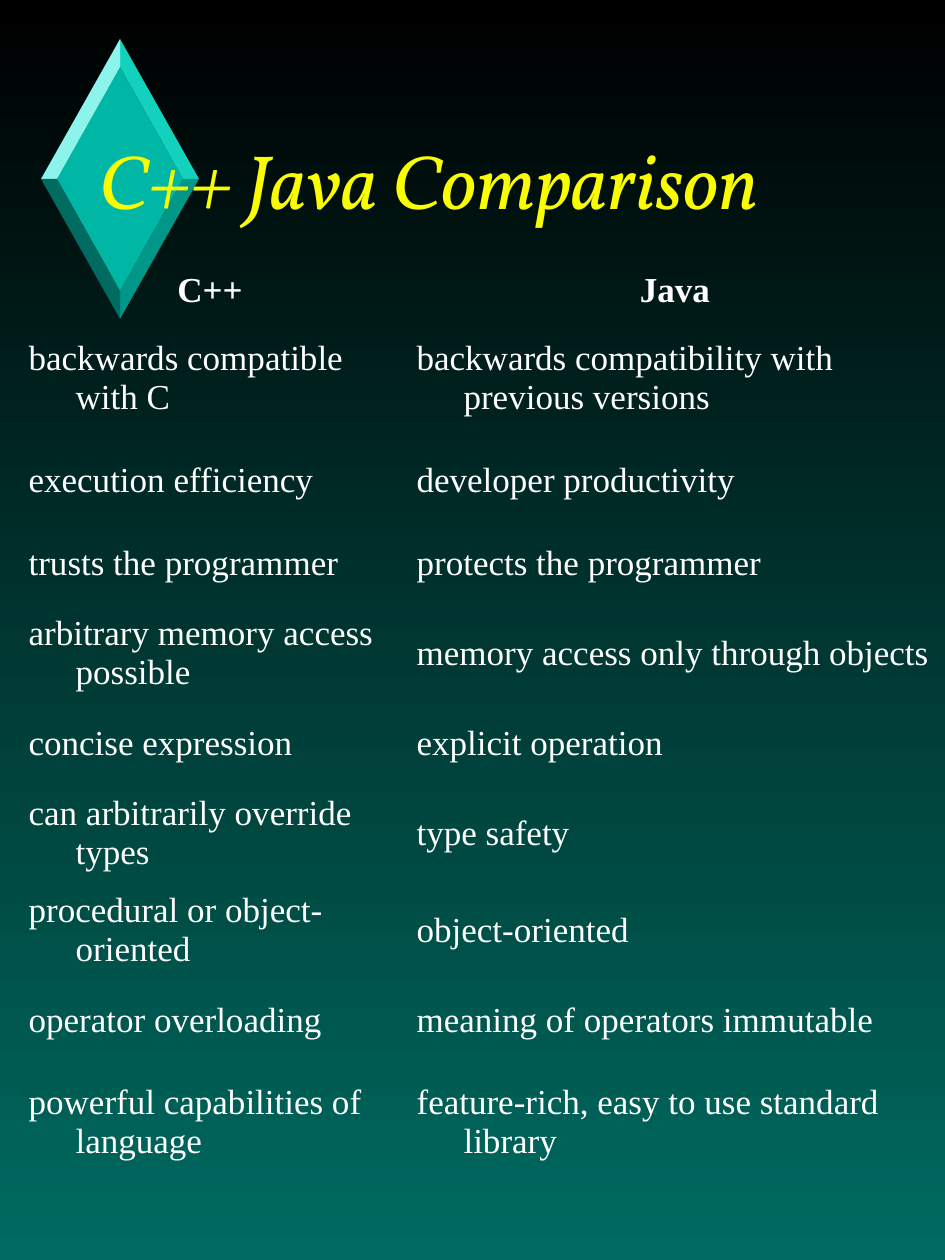
"""Build a portrait slide that compares C++ with Java in a two-column table."""
from pptx import Presentation
from pptx.dml.color import RGBColor
from pptx.enum.text import MSO_ANCHOR as Anchor, PP_ALIGN as Align
from pptx.util import Inches, Pt

PX = Inches(1) / 126
BLACK = RGBColor(0x00, 0x00, 0x00)
DEEP_TEAL = RGBColor(0x00, 0x6B, 0x61)
TEAL = RGBColor(0x00, 0xB7, 0xA5)
BRIGHT_TEAL = RGBColor(0x14, 0xD1, 0xBE)
PALE_TEAL = RGBColor(0x8C, 0xF4, 0xEA)
DARK_TEAL = RGBColor(0x00, 0x96, 0x88)
YELLOW = RGBColor(0xFA, 0xFD, 0x00)
WHITE = RGBColor(0xFF, 0xFF, 0xFF)
NO_STYLE = "{2D5ABB26-0587-4C30-8999-92F81FD0307C}"


def px(length):
    return round(length * PX)


def write_text(frame, text, font, size, color, bold=False, italic=False, align=Align.LEFT, hanging=0):
    frame.word_wrap = True
    paragraph = frame.paragraphs[0]
    paragraph.alignment = align
    properties = paragraph._p.get_or_add_pPr()
    properties.set("marL", str(px(hanging)))
    properties.set("indent", str(-px(hanging)))
    run = paragraph.add_run()
    run.text = text
    run.font.name = font
    run.font.size = Pt(size)
    run.font.color.rgb = color
    run.font.bold = bold
    run.font.italic = italic


presentation = Presentation()
presentation.slide_width = px(945)
presentation.slide_height = px(1260)
slide = presentation.slides.add_slide(presentation.slide_layouts[6])

background = slide.background.fill
background.gradient()
background.gradient_angle = 270
for stop, color, position in zip(background.gradient_stops, (BLACK, DEEP_TEAL), (0, 1)):
    stop.color.rgb = color
    stop.position = position

outer_top, outer_right, outer_bottom, outer_left = (120, 39), (199, 179), (120, 319), (41, 179)
inner_top, inner_right, inner_bottom, inner_left = (120, 67), (183, 179), (120, 291), (57, 179)
facets = [
    (TEAL, [inner_top, inner_left, inner_bottom, inner_right]),
    (BRIGHT_TEAL, [inner_top, outer_top, outer_right, inner_right]),
    (PALE_TEAL, [outer_top, inner_top, inner_left, outer_left]),
    (DARK_TEAL, [inner_right, outer_right, outer_bottom, inner_bottom]),
    (DEEP_TEAL, [inner_left, inner_bottom, outer_bottom, outer_left]),
]
diamond = slide.shapes.add_group_shape()
for color, points in facets:
    builder = diamond.shapes.build_freeform(*points[0], scale=PX)
    builder.add_line_segments(points[1:], close=True)
    facet = builder.convert_to_shape()
    facet.shadow.inherit = False
    facet.fill.solid()
    facet.fill.fore_color.rgb = color
    facet.line.fill.background()

title = slide.shapes.add_textbox(px(87), px(77), px(804), px(203))
title.text_frame.vertical_anchor = Anchor.MIDDLE
write_text(title.text_frame, "C++ Java Comparison", font="Vollkorn", size=44, color=YELLOW, italic=True)

rows = [
    (55, "C++", "Java"),
    (121, "backwards compatible with C", "backwards compatibility with previous versions"),
    (83, "execution efficiency", "developer productivity"),
    (83, "trusts the programmer", "protects the programmer"),
    (97, "arbitrary memory access possible", "memory access only through objects"),
    (83, "concise expression", "explicit operation"),
    (97, "can arbitrarily override types", "type safety"),
    (97, "procedural or object-oriented", "object-oriented"),
    (83, "operator overloading", "meaning of operators immutable"),
    (120, "powerful capabilities of language", "feature-rich, easy to use standard library"),
]
widths = (388, 542)
total_height = sum(row[0] for row in rows)
frame = slide.shapes.add_table(len(rows), len(widths), px(16), px(263), px(sum(widths)), px(total_height))
table = frame.table
table._tbl.tblPr.find("{*}tableStyleId").text = NO_STYLE
table.first_row = False
table.horz_banding = False
for column, width in zip(table.columns, widths):
    column.width = px(width)
for row_index, (height, *texts) in enumerate(rows):
    table.rows[row_index].height = px(height)
    header = row_index == 0
    for column_index, text in enumerate(texts):
        cell = table.cell(row_index, column_index)
        cell.fill.background()
        cell.vertical_anchor = Anchor.MIDDLE
        write_text(cell.text_frame, text, font="Times New Roman", size=20, color=WHITE, bold=header,
                   align=Align.CENTER if header else Align.LEFT, hanging=47)

presentation.save("out.pptx")
